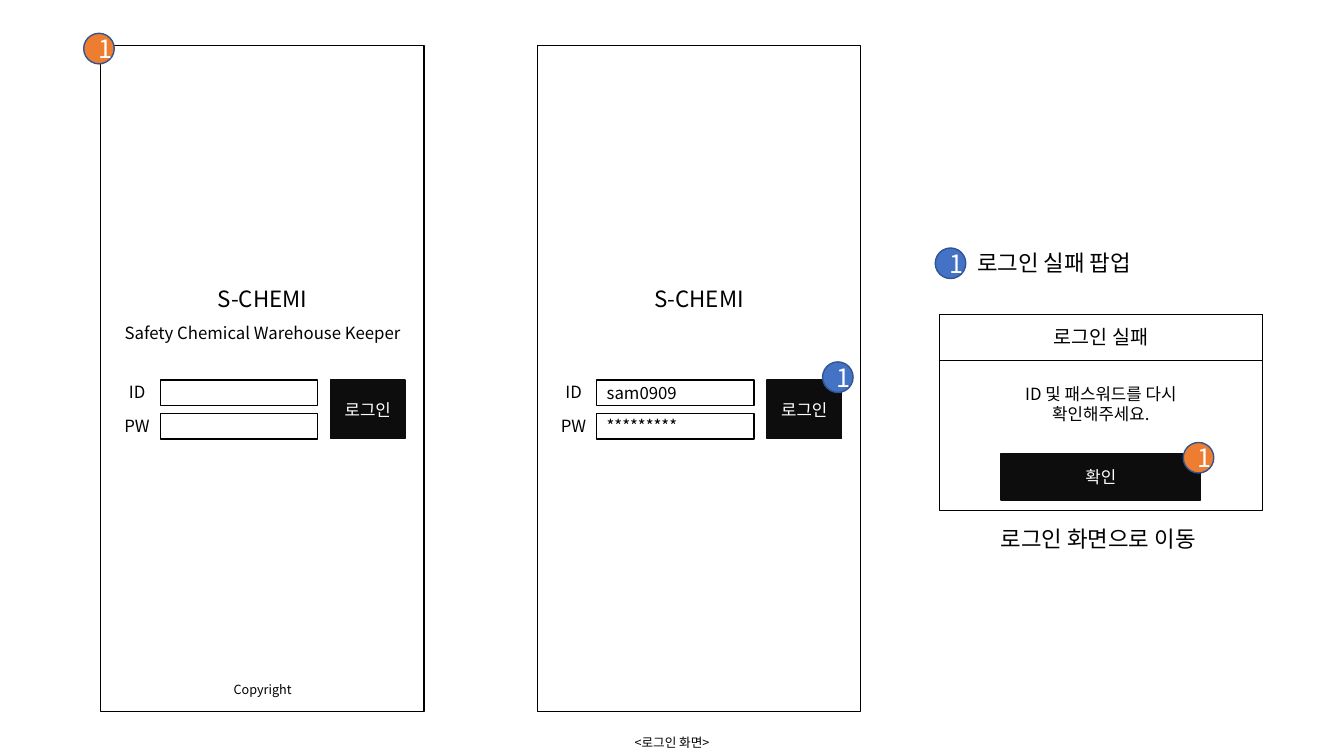
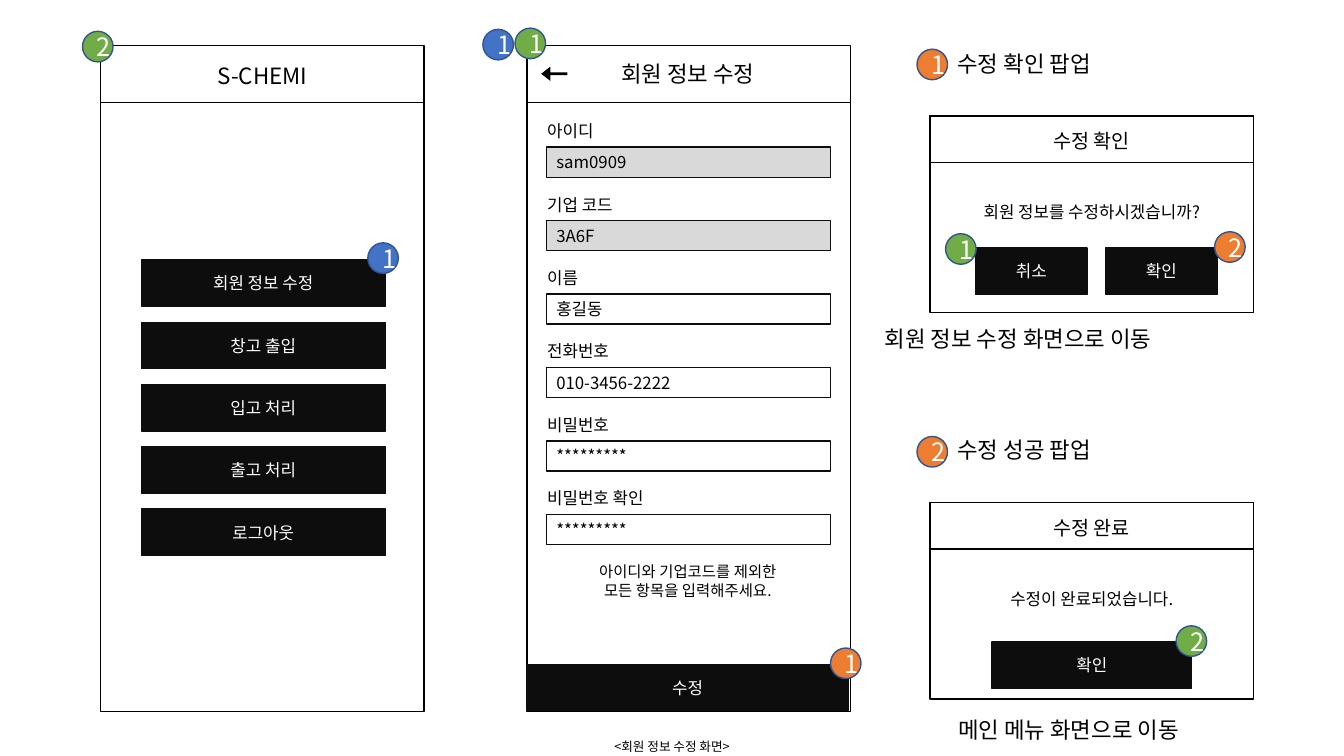
"""Build the wireframes of the login and member-information screens."""
from dataclasses import dataclass
from typing import NamedTuple

from pptx import Presentation
from pptx.dml.color import RGBColor
from pptx.enum.shapes import MSO_CONNECTOR, MSO_SHAPE
from pptx.enum.text import MSO_ANCHOR, MSO_AUTO_SIZE, PP_ALIGN
from pptx.oxml.ns import qn
from pptx.shapes.autoshape import Shape
from pptx.slide import Slide
from pptx.util import Cm, Pt

RECTANGLE, OVAL, LEFT_ARROW = MSO_SHAPE.RECTANGLE, MSO_SHAPE.OVAL, MSO_SHAPE.LEFT_ARROW
STRAIGHT = MSO_CONNECTOR.STRAIGHT
LEFT, CENTER = PP_ALIGN.LEFT, PP_ALIGN.CENTER
TOP, MIDDLE = MSO_ANCHOR.TOP, MSO_ANCHOR.MIDDLE
FIT_SHAPE = MSO_AUTO_SIZE.SHAPE_TO_FIT_TEXT


@dataclass(frozen=True)
class Theme:
    """Colours, font and type sizes shared by both slides."""
    font: str = "Noto Sans CJK KR"
    ink: str = "000000"
    button: str = "0D0D0D"
    paper: str = "FFFFFF"
    locked: str = "D9D9D9"
    orange: str = "ED7D31"
    blue: str = "4472C4"
    green: str = "70AD47"
    badge_line: str = "325491"
    stroke: float = 1
    badge: float = 18
    title: float = 16
    popup: float = 14
    body: float = 12
    notice: float = 11
    small: float = 9


class Frame(NamedTuple):
    """Left, top, width and height in centimetres."""
    left: float
    top: float
    width: float
    height: float


class Badge(NamedTuple):
    """A numbered circle linking a control to its screen."""
    left: float
    top: float
    number: str
    color: str


class Note(NamedTuple):
    """A line of free text beside the screens."""
    text: str
    left: float
    top: float
    width: float


class Button(NamedTuple):
    """A popup button placed relative to its popup."""
    text: str
    left: float
    top: float
    width: float


class Popup(NamedTuple):
    """A dialog with a header, a message and buttons."""
    left: float
    top: float
    title: str
    title_drop: float
    message: str
    message_drop: float
    buttons: tuple[Button, ...]


class Field(NamedTuple):
    """A labelled input of the member form."""
    label: str
    value: str
    locked: bool = False


THEME = Theme()
SLIDE_WIDTH, SLIDE_HEIGHT = 33.87, 19.05
PHONE_TOP, PHONE_WIDTH, PHONE_HEIGHT = 1.14, 8.15, 16.79
HEADER_LINE = 2.59
POPUP_HEIGHT, BAR_HEIGHT, BADGE_SIZE = 4.95, 1.17, 0.77
TITLE_HEIGHT, LABEL_HEIGHT, SMALL_HEIGHT = 0.94, 0.76, 0.64
WIDE_TEXT = 9.78
FIRST_PHONE, LOGIN_PHONE, MEMBER_PHONE = 2.54, 13.54, 13.28

LOGIN_POPUP = Popup(23.67, 7.92, "로그인 실패", 0.15, "ID 및 패스워드를 다시\n확인해주세요.", 1.63,
                    (Button("확인", 1.56, 3.51, 5.03),))
LOGIN_NOTES = (Note("로그인 실패 팝업", 24.38, 6.15, 6.22),
               Note("로그인 화면으로 이동", 24.97, 13.11, 6.88))
LOGIN_BADGES = (
    Badge(2.11, 0.84, "1", THEME.orange),
    Badge(20.73, 9.12, "1", THEME.blue),
    Badge(23.57, 6.25, "1", THEME.blue),
    Badge(29.82, 11.15, "1", THEME.orange),
)
MENU = ("회원 정보 수정", "창고 출입", "입고 처리", "출고 처리", "로그아웃")
MEMBER_FIELDS = (
    Field("아이디", "sam0909", True),
    Field("기업 코드", "3A6F", True),
    Field("이름", "홍길동"),
    Field("전화번호", "010-3456-2222"),
    Field("비밀번호", "*********"),
    Field("비밀번호 확인", "*********"),
)
MEMBER_POPUPS = (
    Popup(23.44, 2.92, "수정 확인", 0.2, "회원 정보를 수정하시겠습니까?", 2.03,
          (Button("취소", 1.14, 3.33, 2.82), Button("확인", 4.42, 3.33, 2.82))),
    Popup(23.44, 12.67, "수정 완료", 0.2, "수정이 완료되었습니다.", 2.03,
          (Button("확인", 1.56, 3.51, 5.03),)),
)
MEMBER_NOTES = (
    Note("수정 확인 팝업", 23.88, 1.14, 7.59),
    Note("수정 성공 팝업", 23.88, 10.87, 7.59),
    Note("회원 정보 수정 화면으로 이동", 22.05, 8.08, 10.92),
    Note("메인 메뉴 화면으로 이동", 23.9, 17.93, 7.19),
)
MEMBER_BADGES = (
    Badge(2.08, 0.79, "2", THEME.green),
    Badge(9.27, 6.12, "1", THEME.blue),
    Badge(12.17, 0.74, "1", THEME.blue),
    Badge(12.98, 0.71, "1", THEME.green),
    Badge(20.93, 16.33, "1", THEME.orange),
    Badge(23.11, 1.24, "1", THEME.orange),
    Badge(23.11, 11.0, "2", THEME.orange),
    Badge(23.83, 5.89, "1", THEME.green),
    Badge(30.61, 5.84, "2", THEME.orange),
    Badge(29.64, 15.77, "2", THEME.green),
)


def rgb(color: str) -> RGBColor:
    """Turn a hex string into a colour."""
    return RGBColor.from_string(color)


def write(box: Shape, text: str, size: float, color: str, align: PP_ALIGN, anchor: MSO_ANCHOR) -> None:
    """Fill a box with one paragraph for each line of text."""
    frame = box.text_frame
    frame.vertical_anchor = anchor
    for index, line in enumerate(text.split("\n")):
        para = frame.add_paragraph() if index else frame.paragraphs[0]
        para.alignment = align
        span = para.add_run()
        span.text = line
        span.font.name = THEME.font
        span.font.size = Pt(size)
        span.font.color.rgb = rgb(color)
        east_asian = span.font._element.makeelement(qn("a:ea"), {"typeface": THEME.font})
        span.font._element.append(east_asian)


def add_text(page: Slide, frame: Frame, text: str, size: float,
             align: PP_ALIGN = CENTER, wrap: bool = True) -> None:
    """Add a text box that grows with its text."""
    box = page.shapes.add_textbox(*map(Cm, frame))
    box.text_frame.word_wrap = wrap
    box.text_frame.auto_size = FIT_SHAPE
    write(box, text, size, THEME.ink, align, TOP)


def add_box(page: Slide, frame: Frame, fill: str | None = None, line: str | None = THEME.ink,
            kind: MSO_SHAPE = RECTANGLE) -> Shape:
    """Add a flat shape with optional fill and outline."""
    box = page.shapes.add_shape(kind, *map(Cm, frame))
    box.shadow.inherit = False
    if fill:
        box.fill.solid()
        box.fill.fore_color.rgb = rgb(fill)
    else:
        box.fill.background()
    if line:
        box.line.color.rgb = rgb(line)
        box.line.width = Pt(THEME.stroke)
    else:
        box.line.fill.background()
    return box


def add_button(page: Slide, frame: Frame, text: str) -> None:
    """Add a dark button."""
    box = add_box(page, frame, THEME.button, THEME.button)
    write(box, text, THEME.body, THEME.paper, CENTER, MIDDLE)


def add_input(page: Slide, frame: Frame, value: str, fill: str | None = None,
              line: str = THEME.ink) -> None:
    """Add an input box, with its value when there is one."""
    box = add_box(page, frame, fill, line)
    if value:
        write(box, value, THEME.body, THEME.ink, LEFT, MIDDLE)


def add_badge(page: Slide, badge: Badge) -> None:
    """Add a numbered circle."""
    frame = Frame(badge.left, badge.top, BADGE_SIZE, BADGE_SIZE)
    box = add_box(page, frame, badge.color, THEME.badge_line, OVAL)
    write(box, badge.number, THEME.badge, THEME.paper, CENTER, MIDDLE)


def add_phone(page: Slide, left: float, header: bool = False) -> None:
    """Add a phone outline, with a rule under its header if asked."""
    add_box(page, Frame(left, PHONE_TOP, PHONE_WIDTH, PHONE_HEIGHT))
    if header:
        rule = page.shapes.add_connector(
            STRAIGHT, Cm(left), Cm(HEADER_LINE), Cm(left + PHONE_WIDTH), Cm(HEADER_LINE))
        rule.line.color.rgb = rgb(THEME.ink)
        rule.line.width = Pt(THEME.stroke)
        properties = rule._element.spPr
        properties.append(properties.makeelement(qn("a:effectLst"), {}))


def add_app_name(page: Slide, left: float, top: float) -> None:
    """Add the application name to a phone."""
    add_text(page, Frame(left + 2.08, top, 3.99, TITLE_HEIGHT), "S-CHEMI", THEME.title)


def add_login(page: Slide, left: float, user: str = "", password: str = "") -> None:
    """Add a login screen with its two inputs and its button."""
    add_phone(page, left)
    add_app_name(page, left, 7.06)
    for index, (label, value) in enumerate((("ID", user), ("PW", password))):
        top = 9.58 + 0.84 * index
        add_input(page, Frame(left + 1.5, top, 3.96, 0.64), value)
        add_text(page, Frame(left + 0.33, top - 0.08, 1.17, LABEL_HEIGHT), label, THEME.body, wrap=False)
    add_button(page, Frame(left + 5.79, 9.58, 1.88, 1.47), "로그인")


def add_popup(page: Slide, popup: Popup) -> None:
    """Add a dialog and its buttons."""
    left, top = popup.left, popup.top
    text_left = left + (PHONE_WIDTH - WIDE_TEXT) / 2
    for height in (POPUP_HEIGHT, BAR_HEIGHT):
        add_box(page, Frame(left, top, PHONE_WIDTH, height))
    add_text(page, Frame(text_left, top + popup.title_drop, WIDE_TEXT, 0.86), popup.title, THEME.popup)
    add_text(page, Frame(text_left, top + popup.message_drop, WIDE_TEXT, LABEL_HEIGHT),
             popup.message, THEME.body)
    for button in popup.buttons:
        frame = Frame(left + button.left, top + button.top, button.width, BAR_HEIGHT)
        add_button(page, frame, button.text)


def finish_page(page: Slide, popups: tuple[Popup, ...], notes: tuple[Note, ...],
                badges: tuple[Badge, ...], caption: str, caption_top: float) -> None:
    """Add the popups, notes, badges and caption of a page."""
    for popup in popups:
        add_popup(page, popup)
    for note in notes:
        add_text(page, Frame(note.left, note.top, note.width, TITLE_HEIGHT), note.text, THEME.title, LEFT)
    for badge in badges:
        add_badge(page, badge)
    add_text(page, Frame(0, caption_top, SLIDE_WIDTH, SMALL_HEIGHT), caption, THEME.small)


def draw_login_page(page: Slide) -> None:
    """Draw the empty and the filled login screens."""
    add_login(page, FIRST_PHONE)
    add_text(page, Frame(1.73, 8, WIDE_TEXT, LABEL_HEIGHT), "Safety Chemical Warehouse Keeper", THEME.body)
    add_text(page, Frame(1.73, 17.07, WIDE_TEXT, SMALL_HEIGHT), "Copyright", THEME.small)
    add_login(page, LOGIN_PHONE, "sam0909", "*********")
    finish_page(page, (LOGIN_POPUP,), LOGIN_NOTES, LOGIN_BADGES, "<로그인 화면>", 18.39)


def draw_member_page(page: Slide) -> None:
    """Draw the main menu and the member form."""
    add_phone(page, FIRST_PHONE, header=True)
    add_app_name(page, FIRST_PHONE, 1.45)
    for index, item in enumerate(MENU):
        add_button(page, Frame(3.56, 6.55 + 1.57 * index, 6.15, BAR_HEIGHT), item)
    add_phone(page, MEMBER_PHONE, header=True)
    arrow = add_box(page, Frame(13.64, 1.68, 0.66, 0.36), THEME.ink, None, LEFT_ARROW)
    arrow.adjustments[0], arrow.adjustments[1] = 0.19, 0.64
    add_text(page, Frame(14.35, 1.4, 5.97, TITLE_HEIGHT), "회원 정보 수정", THEME.title)
    for index, field in enumerate(MEMBER_FIELDS):
        top = 3.71 + 1.85 * index
        add_text(page, Frame(13.54, top - 0.79, 3.2, LABEL_HEIGHT), field.label, THEME.body, LEFT)
        add_input(page, Frame(13.77, top, 7.16, 0.76), field.value,
                  THEME.locked if field.locked else None, THEME.button)
    add_text(page, Frame(13.51, 14.05, 7.65, 1.19),
             "아이디와 기업코드를 제외한\n모든 항목을 입력해주세요.", THEME.notice)
    add_button(page, Frame(MEMBER_PHONE, 16.74, 8.1, BAR_HEIGHT), "수정")
    finish_page(page, MEMBER_POPUPS, MEMBER_NOTES, MEMBER_BADGES, "<회원 정보 수정 화면>", 18.49)


def main() -> None:
    """Build and save the deck."""
    deck = Presentation()
    deck.slide_width, deck.slide_height = Cm(SLIDE_WIDTH), Cm(SLIDE_HEIGHT)
    for draw in (draw_login_page, draw_member_page):
        draw(deck.slides.add_slide(deck.slide_layouts[6]))
    deck.save("out.pptx")


main()
